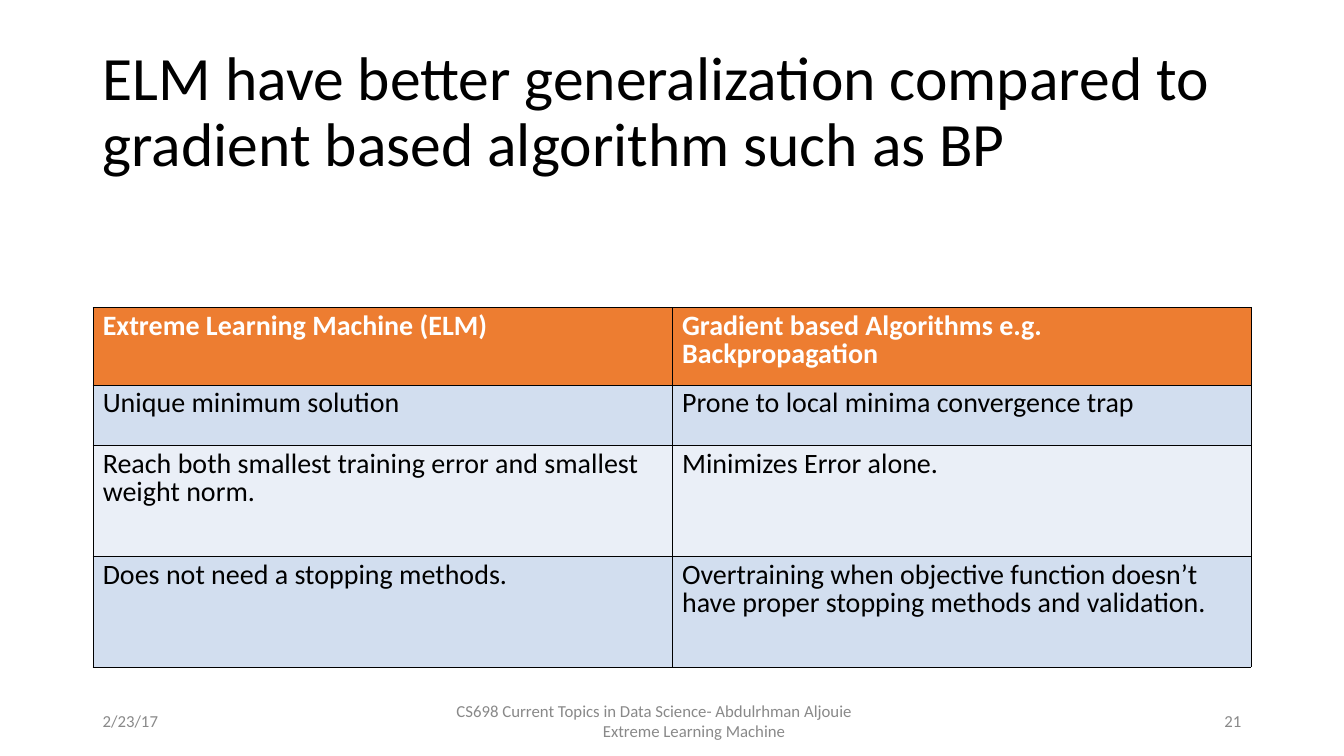
from dataclasses import dataclass

import pptx
import pptx.dml.color
import pptx.enum.text
import pptx.oxml
import pptx.oxml.ns
import pptx.util

Inches = pptx.util.Inches
Align = pptx.enum.text.PP_ALIGN
Anchor = pptx.enum.text.MSO_ANCHOR


@dataclass(frozen=True)
class Theme:
    font: str = "Calibri"
    ink: str = "000000"
    muted: str = "898989"
    header_text: str = "FFFFFF"
    header_fill: str = "ED7D31"
    bands: tuple = ("D2DEEF", "EAEFF7")
    border_pt: float = 0.23
    title_pt: int = 44
    table_pt: int = 20
    footer_pt: int = 12


THEME = Theme()

TITLE = ("ELM have better generalization compared to "
         "gradient based algorithm such as BP")
COMPARISON = [
    ("Extreme Learning Machine (ELM)",
     "Gradient based Algorithms e.g. Backpropagation"),
    ("Unique minimum solution", "Prone to local minima convergence trap"),
    ("Reach both smallest training error and smallest weight norm.",
     "Minimizes Error alone."),
    ("Does not need a stopping methods.",
     "Overtraining when objective function doesn’t have proper stopping "
     "methods and validation."),
]
ROW_HEIGHTS = (0.77, 0.6, 1.1, 1.1)
DATE = "2/23/17"
COURSE = "CS698 Current Topics in Data Science- Abdulrhman Aljouie"
TOPIC = "Extreme Learning Machine"
PAGE = "21"


def apply(target, values):
    for name, value in values.items():
        setattr(target, name, value)


def write(paragraph, text, size, color, bold=False, **layout):
    run = paragraph.add_run()
    run.text = text
    apply(run.font, {"name": THEME.font, "size": pptx.util.Pt(size), "bold": bold})
    run.font.color.rgb = pptx.dml.color.RGBColor.from_string(color)
    apply(paragraph, layout)


def place_title(slide, left, top, width, height):
    title = slide.shapes.title
    apply(title, {"left": Inches(left), "top": Inches(top),
                  "width": Inches(width), "height": Inches(height)})
    apply(title.text_frame, {"word_wrap": True, "vertical_anchor": Anchor.MIDDLE,
                             "auto_size": pptx.enum.text.MSO_AUTO_SIZE.NONE})
    write(title.text_frame.paragraphs[0], TITLE, THEME.title_pt, THEME.ink,
          alignment=Align.LEFT, line_spacing=0.9)


def outline(cell):
    properties = cell._tc.get_or_add_tcPr()
    # Borders come before the fill in the cell properties
    for position, side in enumerate(("lnL", "lnR", "lnT", "lnB")):
        properties.insert(position, pptx.oxml.parse_xml(
            f'<a:{side} {pptx.oxml.ns.nsdecls("a")} '
            f'w="{pptx.util.Pt(THEME.border_pt)}"><a:solidFill>'
            f'<a:srgbClr val="{THEME.ink}"/></a:solidFill></a:{side}>'))


def place_comparison(slide, left, top, width):
    columns = len(COMPARISON[0])
    table = slide.shapes.add_table(
        len(COMPARISON), columns, Inches(left), Inches(top),
        Inches(width), Inches(sum(ROW_HEIGHTS))).table
    for column in table.columns:
        column.width = Inches(width / columns)
    for r, (entries, height) in enumerate(zip(COMPARISON, ROW_HEIGHTS)):
        table.rows[r].height = Inches(height)
        header = r == 0
        fill = THEME.header_fill if header else THEME.bands[(r - 1) % 2]
        color = THEME.header_text if header else THEME.ink
        for c, entry in enumerate(entries):
            cell = table.cell(r, c)
            cell.fill.solid()
            cell.fill.fore_color.rgb = pptx.dml.color.RGBColor.from_string(fill)
            outline(cell)
            write(cell.text_frame.paragraphs[0], entry, THEME.table_pt, color,
                  bold=header, line_spacing=0.83)


def place_footer(slide, left, top, width, height):
    side, middle = 3, 4.5
    # Each line: text, left indent, right indent
    parts = [
        (left, side, Align.LEFT, [(DATE, 0, 0)]),
        (left + (width - middle) / 2, middle, Align.CENTER,
         [(COURSE, 0, 0.35), (TOPIC, 0.44, 0)]),
        (left + width - side, side, Align.RIGHT, [(PAGE, 0, 0)]),
    ]
    for x, part_width, alignment, lines in parts:
        frame = slide.shapes.add_textbox(
            Inches(x), Inches(top), Inches(part_width), Inches(height)).text_frame
        apply(frame, {"word_wrap": True, "vertical_anchor": Anchor.MIDDLE})
        for index, (text, indent_left, indent_right) in enumerate(lines):
            paragraph = frame.add_paragraph() if index else frame.paragraphs[0]
            write(paragraph, text, THEME.footer_pt, THEME.muted, alignment=alignment)
            properties = paragraph._p.get_or_add_pPr()
            properties.set("marL", str(Inches(indent_left)))
            properties.set("marR", str(Inches(indent_right)))


def main():
    deck = pptx.Presentation()
    apply(deck, {"slide_width": Inches(13.34), "slide_height": Inches(7.5)})
    slide = deck.slides.add_slide(deck.slide_layouts.get_by_name("Title Only"))
    left, width = 0.92, 11.5
    place_title(slide, left, 0.4, width, 1.45)
    place_comparison(slide, left, 3.05, width)
    place_footer(slide, left, 6.95, width, 0.4)
    deck.save("out.pptx")


if __name__ == "__main__":
    main()
